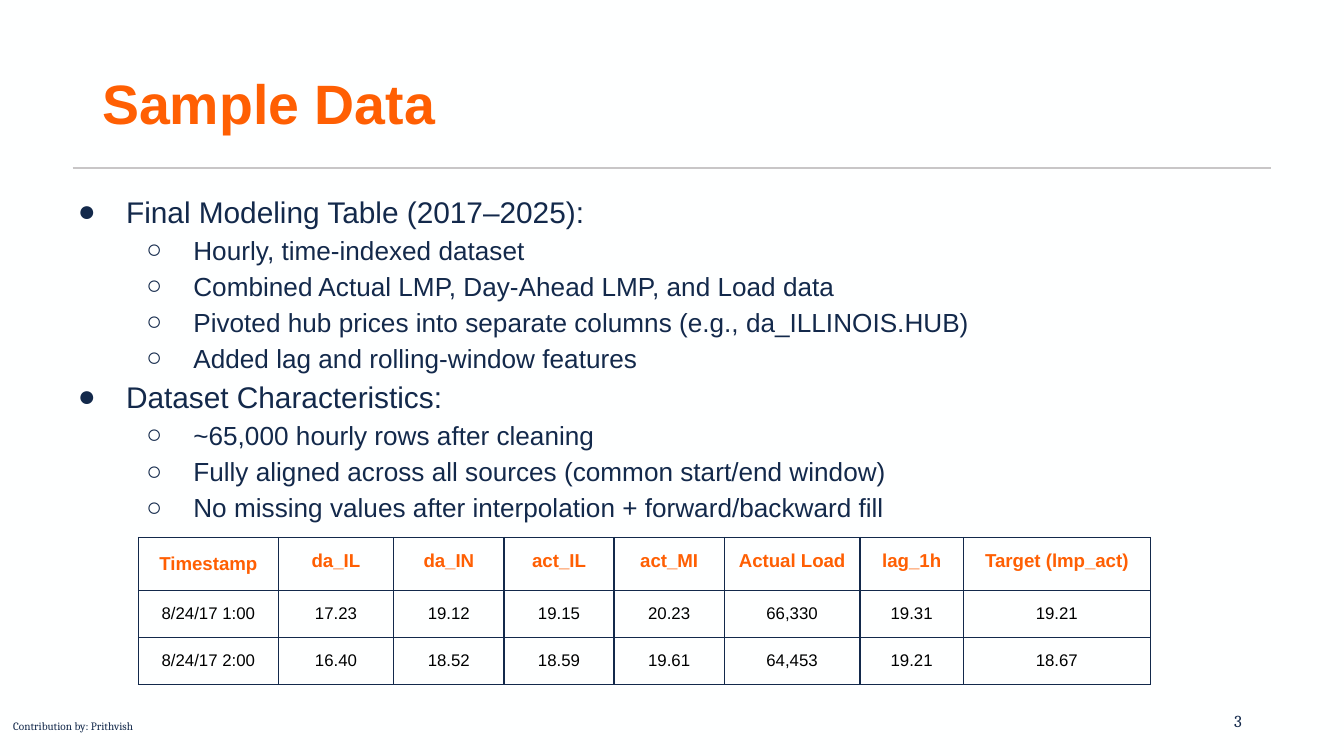
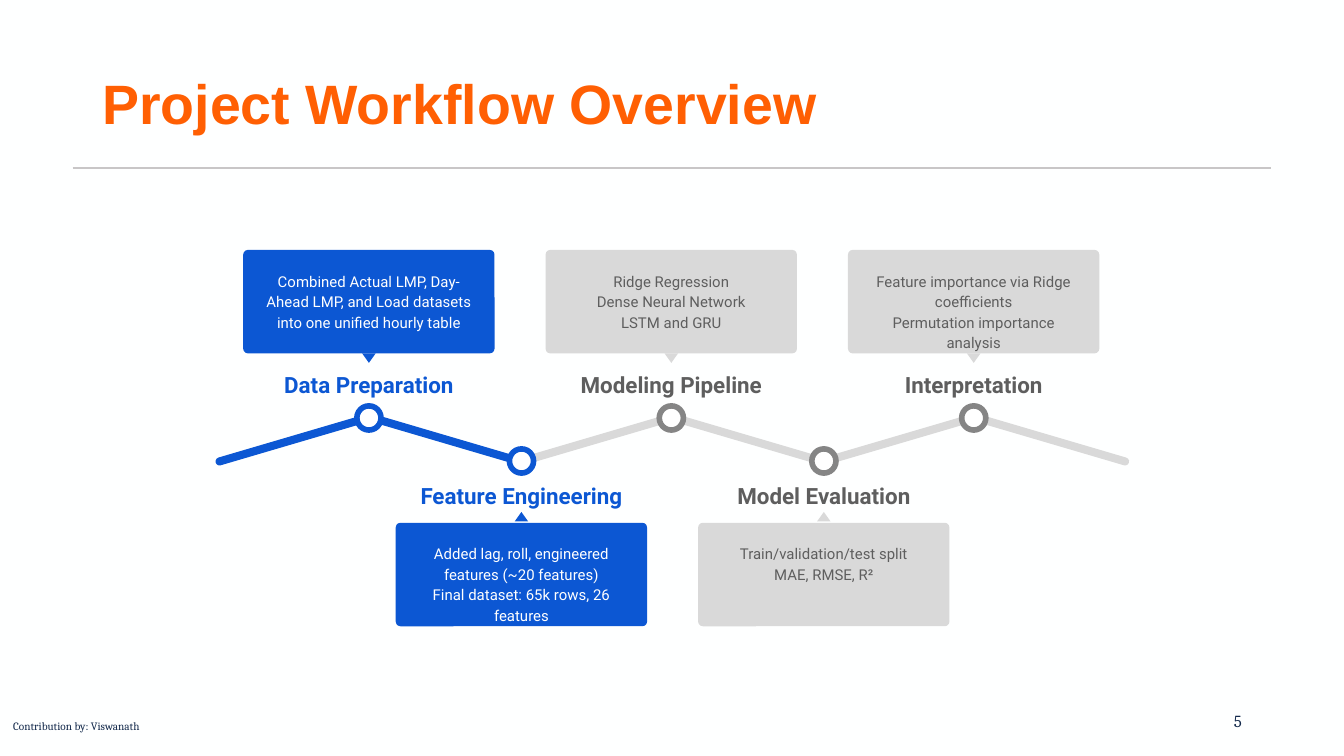
from lxml import etree
from pptx import Presentation
from pptx import util as u
from pptx.dml.color import RGBColor
from pptx.enum import shapes, text
from pptx.oxml import ns

WIDTH, HEIGHT = 10, 5.625
BACKGROUND = RGBColor(0xFE, 0xFF, 0xFF)
ORANGE = RGBColor(0xFF, 0x5F, 0x03)
NAVY = RGBColor(0x13, 0x29, 0x4B)
RULE = RGBColor(0xC8, 0xC6, 0xC7)
BLUE = RGBColor(0x0C, 0x57, 0xD3)
LIGHT_GREY = RGBColor(0xD9, 0xD9, 0xD9)
RING_GREY = RGBColor(0x85, 0x85, 0x85)
TEXT_GREY = RGBColor(0x5E, 0x5E, 0x5E)
WHITE = RGBColor(0xFF, 0xFF, 0xFF)
BLACK = RGBColor(0, 0, 0)
LEFT, CENTER, RIGHT = text.PP_ALIGN.LEFT, text.PP_ALIGN.CENTER, text.PP_ALIGN.RIGHT
TOP, MIDDLE = text.MSO_ANCHOR.TOP, text.MSO_ANCHOR.MIDDLE
SHAPE = shapes.MSO_SHAPE


def write(place, lines, box=None, size=10, font="Arial", color=NAVY, bold=False,
          align=LEFT, anchor=TOP, spacing=1.0, margins=(0.1, 0.1)):
    """Write lines into a new text box on a slide, or into a table cell if box is None."""
    if box:
        frame = holder = place.shapes.add_textbox(*map(u.Inches, box)).text_frame
        frame.word_wrap = True
    else:
        frame, holder = place.text_frame, place
    holder.margin_left = holder.margin_right = u.Inches(margins[0])
    holder.margin_top = holder.margin_bottom = u.Inches(margins[1])
    holder.vertical_anchor = anchor
    for index, line in enumerate(lines):
        paragraph = frame.add_paragraph() if index else frame.paragraphs[0]
        paragraph.alignment, paragraph.line_spacing = align, spacing
        run = paragraph.add_run()
        run.text = line
        run.font.name, run.font.size, run.font.bold = font, u.Pt(size), bold
        run.font.color.rgb = color
    return frame


def draw(slide, kind, center, size, fill, rotation=0, corner=None, outline=None):
    """Draw a filled preset shape around its center."""
    corner_point = [middle - length / 2 for middle, length in zip(center, size)]
    shape = slide.shapes.add_shape(kind, *map(u.Inches, [*corner_point, *size]))
    shape.shadow.inherit = False
    shape.fill.solid()
    shape.fill.fore_color.rgb = fill
    shape.rotation = rotation
    if corner is not None:
        shape.adjustments[0] = corner
    if outline is None:
        shape.line.fill.background()
    else:
        shape.line.color.rgb = outline
        shape.line.width = u.Pt(3)


presentation = Presentation()
presentation.slide_width, presentation.slide_height = u.Inches(WIDTH), u.Inches(HEIGHT)
master_fill = presentation.slide_master.background.fill
master_fill.solid()
master_fill.fore_color.rgb = BACKGROUND

# Title, rule, page number and credit on every slide
slides = []
for title, number, author in [("Sample Data", "3", "Prithvish"),
                              ("Project Workflow Overview", "5", "Viswanath")]:
    slide = presentation.slides.add_slide(presentation.slide_layouts[6])
    rule_ends = (0.054 * WIDTH, 1.25, 0.946 * WIDTH, 1.25)
    rule = slide.shapes.add_connector(shapes.MSO_CONNECTOR.STRAIGHT, *map(u.Inches, rule_ends))
    rule.line.color.rgb, rule.line.width = RULE, u.Pt(1.5)
    etree.SubElement(rule.element.spPr, ns.qn("a:effectLst"))
    write(slide, [title], (0.69, 0.55, 8.21, 0.49), size=29.7, color=ORANGE, bold=True,
          anchor=MIDDLE, spacing=0.9, margins=(0.07, 0.04))
    write(slide, [number], (7.06, 5.21, 2.25, 0.3), size=9, font="Cambria",
          align=RIGHT, anchor=MIDDLE, margins=(0.07, 0.04))
    write(slide, [f"Contribution by: {author}"], (0, 5.3, 2.2, 0.32), size=6, font="Cambria")
    slides.append(slide)
data_slide, workflow_slide = slides

# Sample data: two-level list
outline_items = [
    (0, "Final Modeling Table (2017–2025):"),
    (1, "Hourly, time-indexed dataset"),
    (1, "Combined Actual LMP, Day-Ahead LMP, and Load data"),
    (1, "Pivoted hub prices into separate columns (e.g., da_ILLINOIS.HUB)"),
    (1, "Added lag and rolling-window features"),
    (0, "Dataset Characteristics:"),
    (1, "~65,000 hourly rows after cleaning"),
    (1, "Fully aligned across all sources (common start/end window)"),
    (1, "No missing values after interpolation + forward/backward fill"),
]
LEVELS = [("●", 16, 0.5, -0.36), ("○", 14, 1, -0.35)]
outline_frame = write(data_slide, [item for _, item in outline_items],
                      (0.34, 1.3, 9.32, 2.7), spacing=1.15)
for (level, _), paragraph in zip(outline_items, outline_frame.paragraphs):
    bullet, size, margin, indent = LEVELS[level]
    paragraph.level = level
    paragraph.runs[0].font.size = u.Pt(size)
    properties = paragraph._p.get_or_add_pPr()
    properties.set("marL", str(u.Inches(margin)))
    properties.set("indent", str(u.Inches(indent)))
    bullet_color = etree.SubElement(properties, ns.qn("a:buClr"))
    etree.SubElement(bullet_color, ns.qn("a:srgbClr"), val=str(NAVY))
    etree.SubElement(properties, ns.qn("a:buFont"), typeface="Arial")
    etree.SubElement(properties, ns.qn("a:buChar"), char=bullet)

# Sample data: table
samples = [
    ["Timestamp", "da_IL", "da_IN", "act_IL", "act_MI", "Actual Load", "lag_1h", "Target (lmp_act)"],
    ["8/24/17 1:00", "17.23", "19.12", "19.15", "20.23", "66,330", "19.31", "19.21"],
    ["8/24/17 2:00", "16.40", "18.52", "18.59", "19.61", "64,453", "19.21", "18.67"],
]
column_widths = [1.04, 0.86, 0.82, 0.82, 0.82, 1.01, 0.77, 1.39]
row_heights = [0.38, 0.34, 0.34]
table_box = (1.03, 4, sum(column_widths), sum(row_heights))
table = data_slide.shapes.add_table(len(samples), len(column_widths),
                                    *map(u.Inches, table_box)).table
table.first_row = table.horz_banding = False
for column, width in zip(table.columns, column_widths):
    column.width = u.Inches(width)
for row, height, values in zip(table.rows, row_heights, samples):
    row.height = u.Inches(height)
    header = values is samples[0]
    for cell, value in zip(row.cells, values):
        write(cell, [value], size=10 if header else 9, color=ORANGE if header else BLACK,
              bold=header, align=CENTER, anchor=TOP if header else MIDDLE,
              spacing=1.15 if value == "Timestamp" else 1.0)
        cell_properties = cell._tc.get_or_add_tcPr()
        for side in ("lnL", "lnR", "lnT", "lnB"):
            border = etree.SubElement(cell_properties, ns.qn(f"a:{side}"), w=str(u.Pt(0.75)))
            border_fill = etree.SubElement(border, ns.qn("a:solidFill"))
            etree.SubElement(border_fill, ns.qn("a:srgbClr"), val=str(NAVY))
        cell.fill.background()

# Workflow: zigzag of rods, the first two in the active colour
STEP = 1.125
ACTIVE = 2
for index in reversed(range(6)):
    draw(workflow_slide, SHAPE.ROUNDED_RECTANGLE, (2.19 + index * STEP, 3.27), (1.22, 0.06),
         BLUE if index < ACTIVE else LIGHT_GREY,
         rotation=16.4 if index % 2 else 343.6, corner=0.5)

# Workflow: steps alternate above and below the zigzag
steps = [
    ("Data Preparation",
     ["Combined Actual LMP, Day-Ahead LMP, and Load datasets into one unified hourly table"]),
    ("Feature Engineering",
     ["Added lag, roll, engineered features (~20 features)",
      "Final dataset: 65k rows, 26 features"]),
    ("Modeling Pipeline", ["Ridge Regression", "Dense Neural Network", "LSTM and GRU"]),
    ("Model Evaluation", ["Train/validation/test split", "MAE, RMSE, R²"]),
    ("Interpretation",
     ["Feature importance via Ridge coefficients", "Permutation importance analysis"]),
]
# Heights of ring, heading, pointer and card centers, and pointer rotation
ABOVE = (3.11, 2.85, 2.665, 2.245, 180)
BELOW = (3.43, 3.67, 3.845, 4.275, 0)
CARD = (1.87, 0.77)
TEXT_WIDTH = 1.78
for index, (heading, details) in enumerate(steps):
    ring_y, heading_y, pointer_y, card_y, turn = BELOW if index % 2 else ABOVE
    active = index < ACTIVE
    fill = BLUE if active else LIGHT_GREY
    x = 2.745 + index * STEP + (0.01 if index % 2 else 0)
    text_left = x - TEXT_WIDTH / 2
    draw(workflow_slide, SHAPE.OVAL, (x, ring_y), (0.18, 0.18), WHITE,
         outline=BLUE if active else RING_GREY)
    draw(workflow_slide, SHAPE.ROUNDED_RECTANGLE, (x, card_y), CARD, fill, corner=0.045)
    draw(workflow_slide, SHAPE.ISOSCELES_TRIANGLE, (x, pointer_y), (0.1, 0.07), fill, rotation=turn)
    write(workflow_slide, details, (text_left, card_y - 0.34, TEXT_WIDTH, 0.68), size=8,
          font="Roboto", color=WHITE if active else TEXT_GREY, align=CENTER, spacing=1.15)
    write(workflow_slide, [heading], (text_left, heading_y - 0.15, TEXT_WIDTH, 0.3), size=12,
          font="Roboto", color=BLUE if active else TEXT_GREY, bold=True, align=CENTER,
          anchor=MIDDLE, spacing=1.15)

presentation.save("out.pptx")
